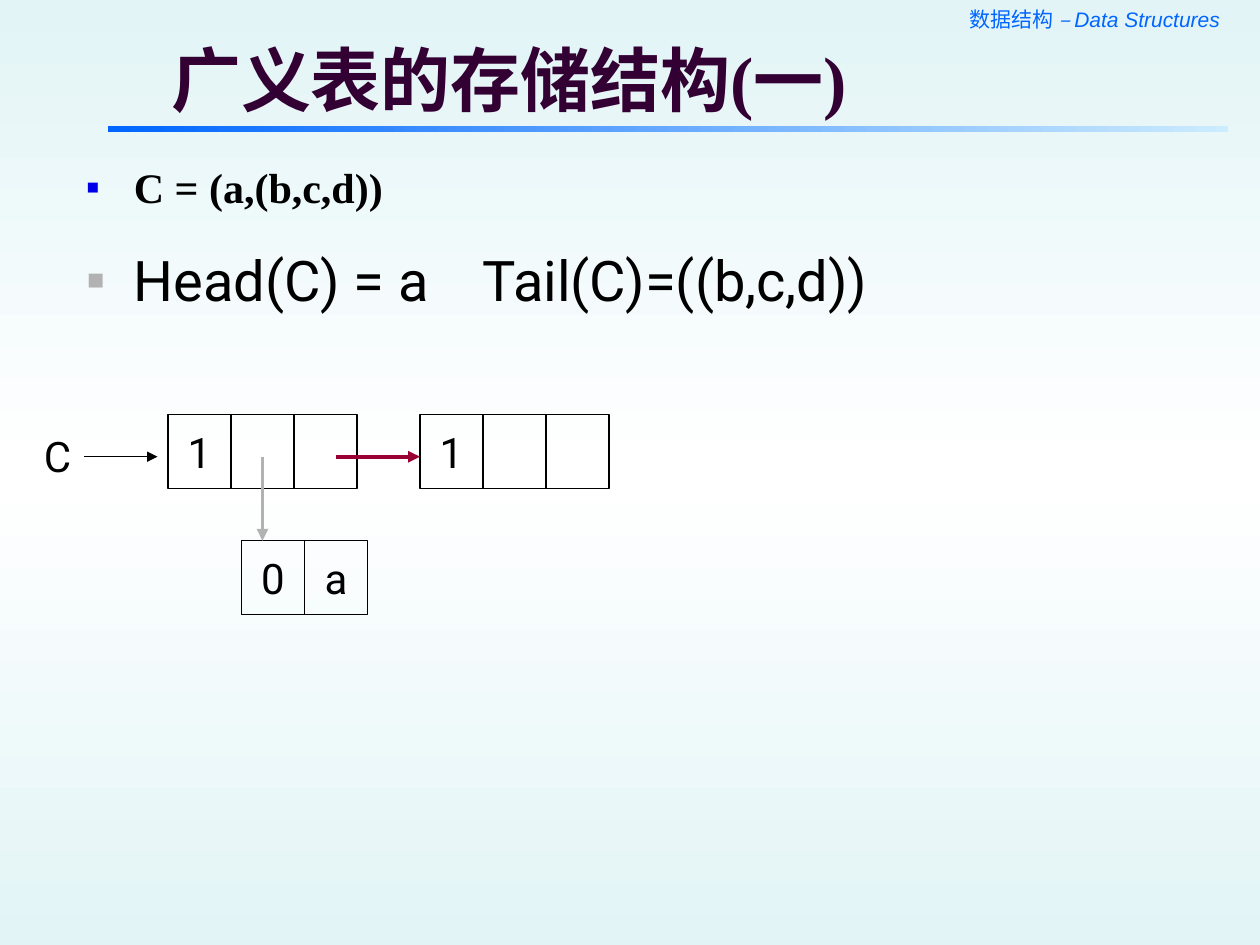
import copy

import pptx
import pptx.dml.color
import pptx.enum.shapes
import pptx.enum.text
import pptx.oxml.ns
import pptx.oxml.xmlchemy
import pptx.util

ALIGN = pptx.enum.text.PP_ALIGN
ANCHOR = pptx.enum.text.MSO_ANCHOR
SERIF, SANS, LATIN = "Times New Roman", "Roboto", "Arial"
BLACK, GREY, BLUE, RED = "000000", "B2B2B2", "0066FF", "990033"
TITLE_COLOR, BULLET_BLUE, TINT = "330033", "0000E8", "E2F4F6"


def rgb(value):
    return pptx.dml.color.RGBColor.from_string(value)


def unit(count):
    """Length of a number of grid steps; the slide is 120 columns by 90 rows."""
    return pptx.util.Inches(count / 12)


def add_element(parent, tag, **attributes):
    child = pptx.oxml.xmlchemy.OxmlElement(tag)
    for name, value in attributes.items():
        child.set(name, str(value))
    parent.append(child)
    return child


class ListSlide:
    cell_width, cell_height = 6, 7

    def __init__(self, presentation):
        self.slide = presentation.slides.add_slide(presentation.slide_layouts[5])
        self.shapes = self.slide.shapes

    def gradient(self, fill, element, angle, colors):
        fill.gradient()
        fill.gradient_angle = angle
        stop_list = element.find(".//" + pptx.oxml.ns.qn("a:gsLst"))
        while len(stop_list) < len(colors):
            stop_list.append(copy.deepcopy(stop_list[0]))
        for index, (stop, color) in enumerate(zip(fill.gradient_stops, colors)):
            stop.position = index / (len(colors) - 1)
            stop.color.rgb = rgb(color)

    def background(self, *colors):
        self.gradient(self.slide.background.fill, self.slide.element, 90, colors)

    def bar(self, left, top, width, height, *colors):
        shape = self.shapes.add_shape(
            pptx.enum.shapes.MSO_SHAPE.RECTANGLE, *map(unit, (left, top, width, height)))
        shape.shadow.inherit = False
        shape.line.fill.background()
        self.gradient(shape.fill, shape.element, 0, colors)

    def style(self, font, name, size, color, bold=None, italic=None):
        font.name, font.size, font.color.rgb = name, pptx.util.Pt(size), rgb(color)
        font.bold, font.italic = bold, italic

    def title(self, text, left, top, width, height):
        shape = self.shapes.title
        shape.left, shape.top, shape.width, shape.height = map(unit, (left, top, width, height))
        frame = shape.text_frame
        frame.text = text
        frame.auto_size = pptx.enum.text.MSO_AUTO_SIZE.NONE
        frame.vertical_anchor = ANCHOR.MIDDLE
        frame.margin_top = frame.margin_bottom = pptx.util.Inches(0.04)
        paragraph = frame.paragraphs[0]
        paragraph.alignment = ALIGN.LEFT
        self.style(paragraph.runs[0].font, SERIF, 40, TITLE_COLOR, bold=True)

    def text(self, text, left, top, width, height, name=SANS, size=24, color=BLACK, bold=None):
        shape = self.shapes.add_textbox(*map(unit, (left, top, width, height)))
        frame = shape.text_frame
        frame.word_wrap = True
        frame.text = text
        self.style(frame.paragraphs[0].runs[0].font, name, size, color, bold)
        return frame

    def bullet(self, frame, color, size=100, tab=None):
        properties = frame.paragraphs[0]._p.get_or_add_pPr()
        indent = pptx.util.Inches(0.38)
        properties.set("marL", str(indent))
        properties.set("indent", str(-indent))
        add_element(add_element(properties, "a:buClr"), "a:srgbClr", val=color)
        add_element(properties, "a:buSzPct", val=size * 1000)
        add_element(properties, "a:buFont", typeface=LATIN)
        add_element(properties, "a:buChar", char="▪")
        if tab:
            stops = add_element(properties, "a:tabLst")
            add_element(stops, "a:tab", pos=pptx.util.Inches(tab), algn="l")

    def node(self, left, top, labels):
        """A list node: a row of joined cells, some of them empty."""
        for index, label in enumerate(labels):
            shape = self.shapes.add_shape(
                pptx.enum.shapes.MSO_SHAPE.RECTANGLE,
                unit(left + index * self.cell_width), unit(top),
                unit(self.cell_width), unit(self.cell_height))
            shape.shadow.inherit = False
            shape.fill.background()
            shape.line.color.rgb = rgb(BLACK)
            shape.line.width = pptx.util.Pt(0.75)
            if label:
                frame = shape.text_frame
                frame.text = label
                frame.word_wrap = False
                frame.vertical_anchor = ANCHOR.MIDDLE
                frame.paragraphs[0].alignment = ALIGN.CENTER
                self.style(frame.paragraphs[0].runs[0].font, SANS, 24, BLACK)

    def arrow(self, start, end, color, width):
        connector = self.shapes.add_connector(
            pptx.enum.shapes.MSO_CONNECTOR.STRAIGHT, *map(unit, start + end))
        connector.line.color.rgb = rgb(color)
        connector.line.width = pptx.util.Pt(width)
        add_element(connector.line._get_or_add_ln(), "a:tailEnd", type="triangle")
        add_element(connector.element.spPr, "a:effectLst")


def main():
    presentation = pptx.Presentation()
    presentation.slide_width, presentation.slide_height = unit(120), unit(90)
    page = ListSlide(presentation)

    # Background, running header and rule
    page.background(TINT, "FFFFFF", TINT)
    header = page.text("数据结构 ", 72, 0, 46, 3.6, SERIF, 12, BLUE)
    header.margin_right = pptx.util.Inches(0.15)
    paragraph = header.paragraphs[0]
    paragraph.alignment = ALIGN.RIGHT
    run = paragraph.add_run()
    run.text = "– Data Structures"
    page.style(run.font, LATIN, 12, BLUE, italic=True)
    page.bar(10.3, 12, 106.7, 0.6, BLUE, "CCECFF")

    # Title and the two statements
    page.title("广义表的存储结构(一)", 15.1, 3.5, 98.9, 8)
    definition = page.text("C = (a,(b,c,d))", 7, 14.8, 110.5, 9, SERIF, bold=True)
    page.bullet(definition, BULLET_BLUE, size=95)
    parts = page.text("Head(C) = a\tTail(C)=((b,c,d))", 7, 22.8, 107, 8, size=32)
    page.bullet(parts, GREY, tab=3.15)

    # Nodes of the list
    page.text("C", 3, 40.4, 5, 6)
    page.node(16, 39.5, ["1", "", ""])
    page.node(23, 51.5, ["0", "a"])
    page.node(40, 39.5, ["1", "", ""])

    # Pointers
    page.arrow((8, 43.5), (15, 43.5), BLACK, 0.75)
    page.arrow((25, 43.5), (25, 51.5), GREY, 2.25)
    page.arrow((32, 43.5), (40, 43.5), RED, 2.25)

    presentation.save("out.pptx")


if __name__ == "__main__":
    main()
